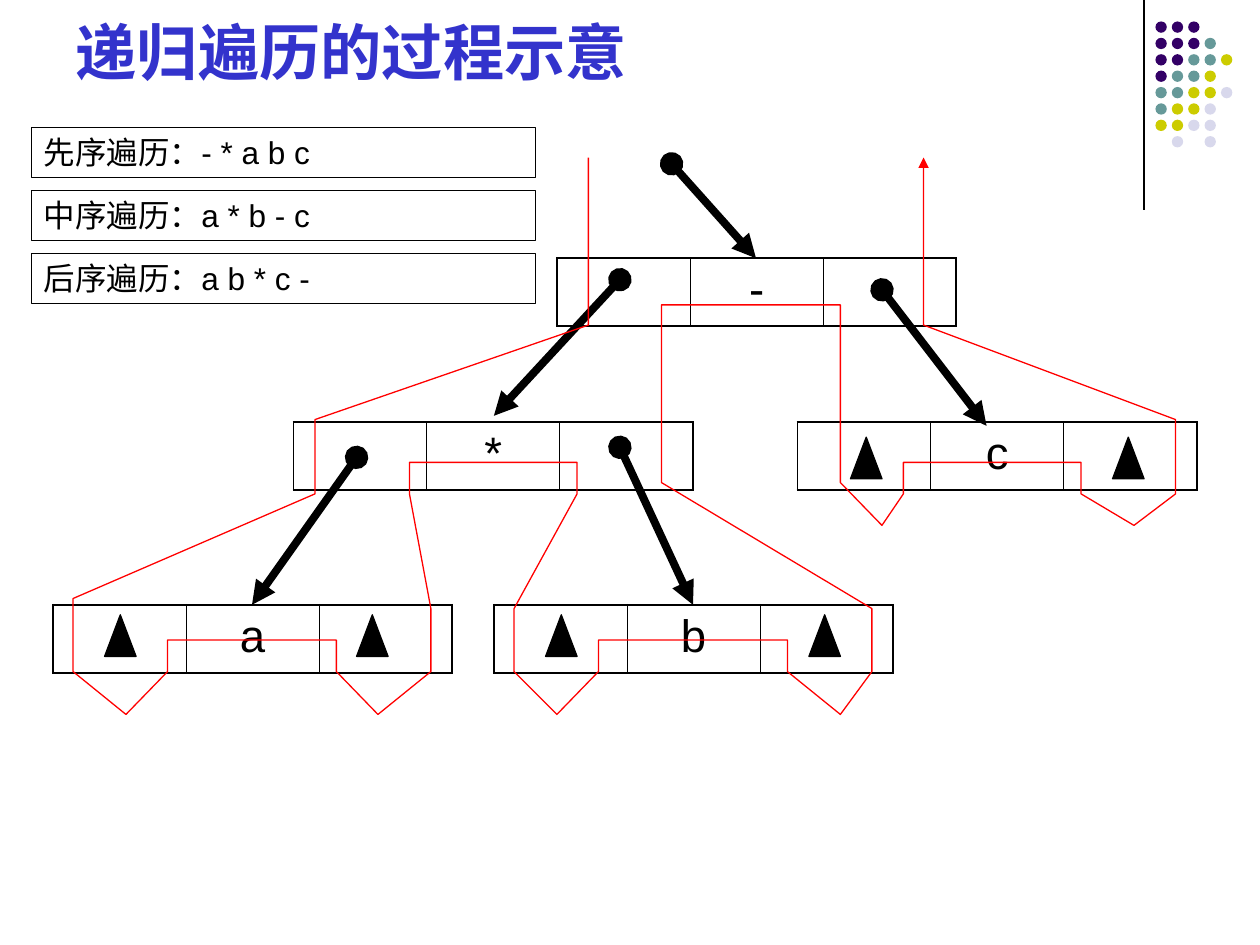
from lxml.etree import SubElement
from pptx import Presentation
from pptx.dml.color import RGBColor
from pptx.enum.shapes import MSO_CONNECTOR as CONN, MSO_SHAPE as SHAPE
from pptx.enum.text import MSO_ANCHOR as ANCHOR, MSO_AUTO_SIZE as AUTO, PP_ALIGN as ALIGN
from pptx.oxml.ns import qn
from pptx.util import Inches, Pt

BLACK = RGBColor(0x00, 0x00, 0x00)
RED = RGBColor(0xFF, 0x00, 0x00)
BLUE = RGBColor(0x33, 0x33, 0xCC)
DOT_COLORS = {
    "P": RGBColor(0x33, 0x00, 0x66),
    "T": RGBColor(0x66, 0x99, 0x99),
    "Y": RGBColor(0xCC, 0xCC, 0x00),
    "L": RGBColor(0xD8, 0xD8, 0xEC),
}

TITLE = "递归遍历的过程示意"
ORDERS = ["先序遍历：- * a b c", "中序遍历：a * b - c", "后序遍历：a b * c -"]
DOT_ROWS = ["PPP", "PPPT", "PPTTY", "PTTY", "TTYYL", "TYYL", "YYLL", " L L"]
NODES = [("-", 4.42, 2.05), ("*", 2.33, 3.35), ("c", 6.33, 3.35),
         ("b", 3.92, 4.8), ("a", 0.42, 4.8)]
POINTERS = [(4.92, 2.22, 3.92, 3.3), (2.83, 3.63, 2, 4.8), (4.92, 3.55, 5.5, 4.8),
            (7, 2.3, 7.83, 3.38), (5.33, 1.3, 6, 2.05)]
NULL_MARKS = {4.88: [0.83, 2.83, 4.33, 6.42], 3.47: [6.75, 8.83]}
WALK = [
    (4.67, 1.25), (4.67, 2.58), (2.5, 3.33), (2.5, 3.92), (0.58, 4.75), (0.58, 5.33),
    (1, 5.67), (1.33, 5.33), (1.33, 5.08), (2.67, 5.08), (2.67, 5.33), (3, 5.67),
    (3.42, 5.33), (3.42, 4.83), (3.25, 3.92), (3.25, 3.67), (4.58, 3.67), (4.58, 3.92),
    (4.08, 4.83), (4.08, 5.33), (4.42, 5.67), (4.75, 5.33), (4.75, 5.08), (6.25, 5.08),
    (6.25, 5.33), (6.67, 5.67), (6.92, 5.33), (6.92, 4.83), (5.25, 3.83), (5.25, 2.42),
    (6.67, 2.42), (6.67, 3.83), (7, 4.17), (7.17, 3.92), (7.17, 3.67), (8.58, 3.67),
    (8.58, 3.92), (9, 4.17), (9.33, 3.92), (9.33, 3.33), (7.33, 2.58), (7.33, 1.25),
]


def write(tf, text, size, color=BLACK, bold=False, align=ALIGN.LEFT):
    p = tf.paragraphs[0]
    p.alignment = align
    r = p.add_run()
    r.text = text
    r.font.name = "Arial"
    r.font.size = Pt(size)
    r.font.bold = bold
    r.font.color.rgb = color


def set_line(sp, color, width, head=None, tail=None):
    sp.line.color.rgb = color
    sp.line.width = Pt(width)
    ln = sp.line._get_or_add_ln()
    for tag, kind in (("a:headEnd", head), ("a:tailEnd", tail)):
        if kind:
            SubElement(ln, qn(tag), type=kind)


def add_shape(slide, kind, x, y, w, h, fill=None, line=BLACK):
    sp = slide.shapes.add_shape(kind, Inches(x), Inches(y), Inches(w), Inches(h))
    sp.shadow.inherit = False
    if fill is None:
        sp.fill.background()
    else:
        sp.fill.solid()
        sp.fill.fore_color.rgb = fill
    if line is None:
        sp.line.fill.background()
    else:
        set_line(sp, line, 0.75)
    return sp


def add_line(slide, x1, y1, x2, y2, width, **ends):
    c = slide.shapes.add_connector(CONN.STRAIGHT, Inches(x1), Inches(y1), Inches(x2), Inches(y2))
    set_line(c, BLACK, width, **ends)
    SubElement(c._element.spPr, qn("a:effectLst"))


def set_borders(cell, first, last):
    widths = {"a:lnL": 1.08 if first else 0.45, "a:lnR": 1.08 if last else 0.45,
              "a:lnT": 1.08, "a:lnB": 1.08}
    tc_pr = cell._tc.get_or_add_tcPr()
    for tag, width in widths.items():
        ln = SubElement(tc_pr, qn(tag), w=str(Pt(width)))
        SubElement(SubElement(ln, qn("a:solidFill")), qn("a:srgbClr"), val=str(BLACK))


def add_node(slide, label, x, y):
    frame = slide.shapes.add_table(1, 3, Inches(x), Inches(y), Inches(3.17), Inches(0.54))
    table = frame.table
    table.first_row = table.horz_banding = False
    for i, cell in enumerate(table.rows[0].cells):
        set_borders(cell, i == 0, i == 2)
        cell.fill.background()
    write(table.cell(0, 1).text_frame, label, 26, align=ALIGN.CENTER)


def add_walk(slide):
    points = [(Inches(x), Inches(y)) for x, y in WALK]
    builder = slide.shapes.build_freeform(*points[0])
    builder.add_line_segments(points[1:], close=False)
    sp = builder.convert_to_shape()
    sp.shadow.inherit = False
    sp.fill.background()
    set_line(sp, RED, 0.75, tail="triangle")


def main():
    prs = Presentation()
    prs.slide_width, prs.slide_height = Inches(10), Inches(7.5)
    slide = prs.slides.add_slide(prs.slide_layouts[5])

    title = slide.shapes.title
    title.left, title.top = Inches(0.5), Inches(0.13)
    title.width, title.height = Inches(8.42), Inches(0.62)
    title.text_frame.vertical_anchor = ANCHOR.BOTTOM
    title.text_frame.auto_size = AUTO.NONE
    write(title.text_frame, TITLE, 35, color=BLUE, bold=True)

    add_line(slide, 9.08, 0, 9.08, 1.67, 0.75)
    for row, dots in enumerate(DOT_ROWS):
        for col, dot in enumerate(dots):
            if dot in DOT_COLORS:
                add_shape(slide, SHAPE.OVAL, 9.17 + 0.13 * col, 0.17 + 0.13 * row,
                          0.09, 0.09, fill=DOT_COLORS[dot], line=None)

    for node in NODES:
        add_node(slide, *node)
    for pointer in POINTERS:
        add_line(slide, *pointer, 4.5, head="oval", tail="triangle")
    for y, lefts in NULL_MARKS.items():
        for x in lefts:
            add_shape(slide, SHAPE.ISOSCELES_TRIANGLE, x, y, 0.25, 0.33, fill=BLACK)

    for i, order in enumerate(ORDERS):
        sp = add_shape(slide, SHAPE.RECTANGLE, 0.25, 1.01 + 0.5 * i, 4, 0.4)
        tf = sp.text_frame
        tf.word_wrap = True
        tf.vertical_anchor = ANCHOR.MIDDLE
        write(tf, order, 18)

    add_walk(slide)
    prs.save("out.pptx")


if __name__ == "__main__":
    main()
